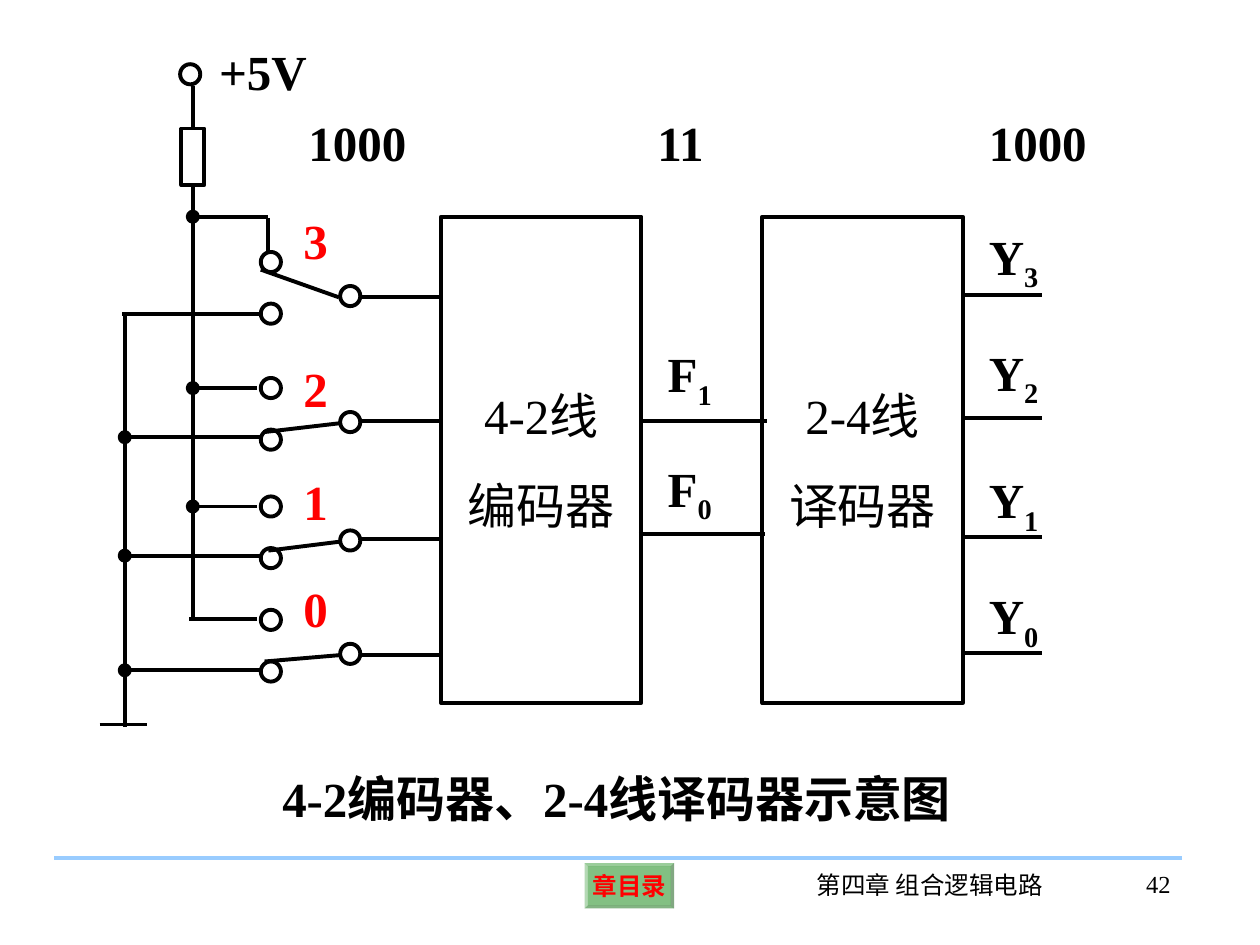
"""Build the slide that shows a 4-2 encoder feeding a 2-4 decoder."""
import dataclasses
import typing

import pptx
import pptx.dml.color
import pptx.enum.shapes
import pptx.enum.text
import pptx.oxml
import pptx.oxml.ns
import pptx.util

Inches = pptx.util.Inches
Pt = pptx.util.Pt
Shape = pptx.enum.shapes.MSO_SHAPE
Align = pptx.enum.text.PP_ALIGN
Anchor = pptx.enum.text.MSO_ANCHOR
Point = tuple[float, float]
Area = tuple[float, float, float, float]

FONT = "Times New Roman"
BLACK, RED, BLUE, GREEN = "000000", "FF0000", "99CCFF", "008000"
SUPPLY_X, GROUND_X = 1.53, 0.99
CONTACT_X, COMMON_X = 2.07, 2.70
CONTACT_SIZE, DOT_SIZE = 0.16, 0.08
TOP_SUPPLY_Y, BOTTOM_SUPPLY_Y = 1.72, 4.91


@dataclasses.dataclass
class Switch:
    """One input switch with the decoder output of the same number."""
    digit: str
    contact_top: float
    blade_start: Point
    blade_end_y: float
    input_y: float
    ground_y: float
    digit_top: float
    output_top: float


@dataclasses.dataclass
class Label:
    """A bold text on the diagram, with an optional subscript."""
    text: str
    area: Area
    color: str = BLACK
    subscript: str = ""


SWITCHES = [
    Switch("3", 2.00, (2.07, 2.14), 2.36, 2.36, 2.49, 1.62, 1.75),
    Switch("2", 3.00, (2.09, 3.43), 3.36, 3.34, 3.47, 2.80, 2.67),
    Switch("1", 3.94, (2.13, 4.37), 4.30, 4.28, 4.41, 3.69, 3.68),
    Switch("0", 4.84, (2.10, 5.25), 5.20, 5.20, 5.32, 4.54, 4.60),
]
LABELS = [
    Label("+5V", (1.64, 0.28, 0.98, 0.57)),
    Label("1000", (2.35, 0.84, 1.17, 0.57)),
    Label("11", (5.12, 0.84, 1.17, 0.57)),
    Label("1000", (7.75, 0.84, 1.17, 0.57)),
    Label("F", (5.20, 2.68, 0.78, 0.63), subscript="1"),
    Label("F", (5.20, 3.59, 0.78, 0.63), subscript="0"),
]


def rgb(color: str) -> pptx.dml.color.RGBColor:
    """Turn a hex string into a colour."""
    return pptx.dml.color.RGBColor.from_string(color)


def set_font(font: typing.Any, size: float, color: str = BLACK, bold: bool = False) -> None:
    """Format the font of a paragraph."""
    font.name, font.size, font.bold = FONT, Pt(size), bold
    font.color.rgb = rgb(color)


def draw_line(page: typing.Any, start: Point, end: Point, color: str = BLACK) -> typing.Any:
    """Draw a straight wire without a shadow."""
    wire = page.shapes.add_connector(
        pptx.enum.shapes.MSO_CONNECTOR.STRAIGHT, *map(Inches, start + end))
    wire.line.color.rgb = rgb(color)
    wire.line.width = Pt(2.25)
    properties = wire._element.spPr
    properties.append(pptx.oxml.parse_xml(
        f"<a:effectLst {pptx.oxml.ns.nsdecls('a')}/>"))
    return wire


def draw_shape(page: typing.Any, kind: Shape, area: Area, fill: str = "") -> typing.Any:
    """Draw a black outline, filled when a colour is given."""
    shape = page.shapes.add_shape(kind, *map(Inches, area))
    shape.shadow.inherit = False
    if fill:
        shape.fill.solid()
        shape.fill.fore_color.rgb = rgb(fill)
    else:
        shape.fill.background()
    shape.line.color.rgb = rgb(BLACK)
    shape.line.width = Pt(2.25)
    return shape


def draw_contact(page: typing.Any, left: float, top: float) -> None:
    """Draw an open terminal."""
    draw_shape(page, Shape.OVAL, (left, top, CONTACT_SIZE, CONTACT_SIZE))


def draw_junction(page: typing.Any, x: float, y: float) -> None:
    """Draw a solid dot centred on a wire crossing."""
    half = DOT_SIZE / 2
    draw_shape(page, Shape.OVAL, (x - half, y - half, DOT_SIZE, DOT_SIZE), BLACK)


def draw_text(page: typing.Any, text: str, area: Area, size: float, color: str = BLACK,
              bold: bool = False, align: Align = Align.LEFT) -> typing.Any:
    """Add a one-paragraph text box and return its paragraph."""
    box = page.shapes.add_textbox(*map(Inches, area))
    box.text_frame.word_wrap = True
    para = box.text_frame.paragraphs[0]
    para.text, para.alignment = text, align
    set_font(para.font, size, color, bold)
    return para


def draw_label(page: typing.Any, label: Label) -> None:
    """Add a diagram label."""
    para = draw_text(page, label.text, label.area, 28, label.color, bold=True)
    if label.subscript:
        span = para.add_run()
        span.text = label.subscript
        span._r.get_or_add_rPr().set("baseline", "-25000")


def fill_text(shape: typing.Any, lines: list[str], size: float, before: float,
              margin: float, color: str = BLACK, bold: bool = False) -> None:
    """Centre lines of text inside a shape."""
    frame = shape.text_frame
    frame.word_wrap, frame.vertical_anchor = False, Anchor.MIDDLE
    frame.margin_left = frame.margin_right = Inches(margin)
    frame.margin_top = frame.margin_bottom = Inches(margin)
    frame.text = "\n".join(lines)
    for para in frame.paragraphs:
        para.alignment, para.space_before = Align.CENTER, Pt(before)
        set_font(para.font, size, color, bold)


def draw_supply(page: typing.Any) -> None:
    """Draw the supply terminal, the resistor and both vertical rails."""
    draw_contact(page, 1.43, 0.51)
    resistor = draw_shape(page, Shape.RECTANGLE, (1.44, 1.02, 0.18, 0.45))
    lead = draw_line(page, (SUPPLY_X, 0.68), (SUPPLY_X, 1.02))
    lead.end_connect(resistor, 0)
    rail = draw_line(page, (SUPPLY_X, BOTTOM_SUPPLY_Y), (SUPPLY_X, 1.47))
    rail.end_connect(resistor, 2)
    draw_line(page, (2.13, TOP_SUPPLY_Y), (SUPPLY_X, TOP_SUPPLY_Y))
    draw_line(page, (2.13, 1.73), (2.13, 1.99))
    draw_junction(page, SUPPLY_X, TOP_SUPPLY_Y)
    draw_line(page, (GROUND_X, 2.50), (GROUND_X, 5.77))
    draw_line(page, (0.79, 5.75), (1.17, 5.75))


def draw_switch(page: typing.Any, switch: Switch) -> None:
    """Draw a switch, its wires, its digit and the matching output."""
    first, last = switch is SWITCHES[0], switch is SWITCHES[-1]
    draw_contact(page, CONTACT_X, switch.contact_top)
    draw_contact(page, CONTACT_X, switch.contact_top + 0.41)
    draw_contact(page, COMMON_X, switch.contact_top + 0.27)
    draw_line(page, switch.blade_start, (2.69, switch.blade_end_y))
    draw_line(page, (2.87, switch.input_y), (3.51, switch.input_y))
    draw_line(page, (CONTACT_X, switch.ground_y), (0.97, switch.ground_y))
    if not first:
        supply_y = BOTTOM_SUPPLY_Y if last else switch.contact_top + 0.08
        draw_line(page, (2.04, supply_y), (1.50, supply_y))
        draw_junction(page, GROUND_X, switch.ground_y)
        if not last:
            draw_junction(page, SUPPLY_X, supply_y)
    draw_label(page, Label(switch.digit, (2.31, switch.digit_top, 0.40, 0.57), RED))
    output_y = switch.input_y - 0.02
    draw_line(page, (7.63, output_y), (8.27, output_y))
    draw_label(page, Label("Y", (7.75, switch.output_top, 0.78, 0.63), subscript=switch.digit))


def draw_footer(page: typing.Any) -> None:
    """Draw the rule, the contents button, the chapter and the page number."""
    draw_line(page, (0.43, 6.81), (9.38, 6.81), BLUE)
    button = draw_shape(page, Shape.BEVEL, (4.64, 6.85, 0.71, 0.36), GREEN)
    button.adjustments[0] = 0.07
    button.line.fill.background()
    color = button._element.spPr.find(".//" + pptx.oxml.ns.qn("a:srgbClr"))
    color.append(pptx.oxml.parse_xml(
        f"<a:alpha {pptx.oxml.ns.nsdecls('a')} val='49000'/>"))
    fill_text(button, ["章目录"], 14, 8.8, 0.04, RED, bold=True)
    draw_text(page, "第四章 组合逻辑电路", (6.24, 6.86, 2.28, 0.50), 14, align=Align.CENTER)
    draw_text(page, "42", (8.53, 6.85, 0.86, 0.50), 14, align=Align.RIGHT)


def place_title(page: typing.Any, text: str, area: Area) -> None:
    """Move the title placeholder below the diagram and format it."""
    title = page.shapes.title
    title.left, title.top, title.width, title.height = map(Inches, area)
    frame = title.text_frame
    frame.text, frame.word_wrap = text, True
    frame.auto_size = pptx.enum.text.MSO_AUTO_SIZE.NONE
    frame.vertical_anchor = Anchor.TOP
    frame.paragraphs[0].alignment = Align.LEFT
    set_font(frame.paragraphs[0].font, 28, bold=True)


def main() -> None:
    """Build and save the deck."""
    deck = pptx.Presentation()
    deck.slide_width, deck.slide_height = Inches(10), Inches(7.5)
    page = deck.slides.add_slide(deck.slide_layouts[5])
    place_title(page, "4-2编码器、2-4线译码器示意图", (2.14, 6.05, 6.63, 0.57))
    draw_footer(page)
    draw_supply(page)
    for switch in SWITCHES:
        draw_switch(page, switch)
    for left, lines in ((3.50, ["4-2线", "编码器"]), (6.05, ["2-4线", "译码器"])):
        block = draw_shape(page, Shape.RECTANGLE, (left, 1.72, 1.59, 3.86))
        fill_text(block, lines, 28, 17.5, 0)
    for left, y in ((5.09, 3.34), (5.07, 4.24)):
        draw_line(page, (left, y), (left + 1, y))
    for label in LABELS:
        draw_label(page, label)
    deck.save("out.pptx")


if __name__ == "__main__":
    main()
